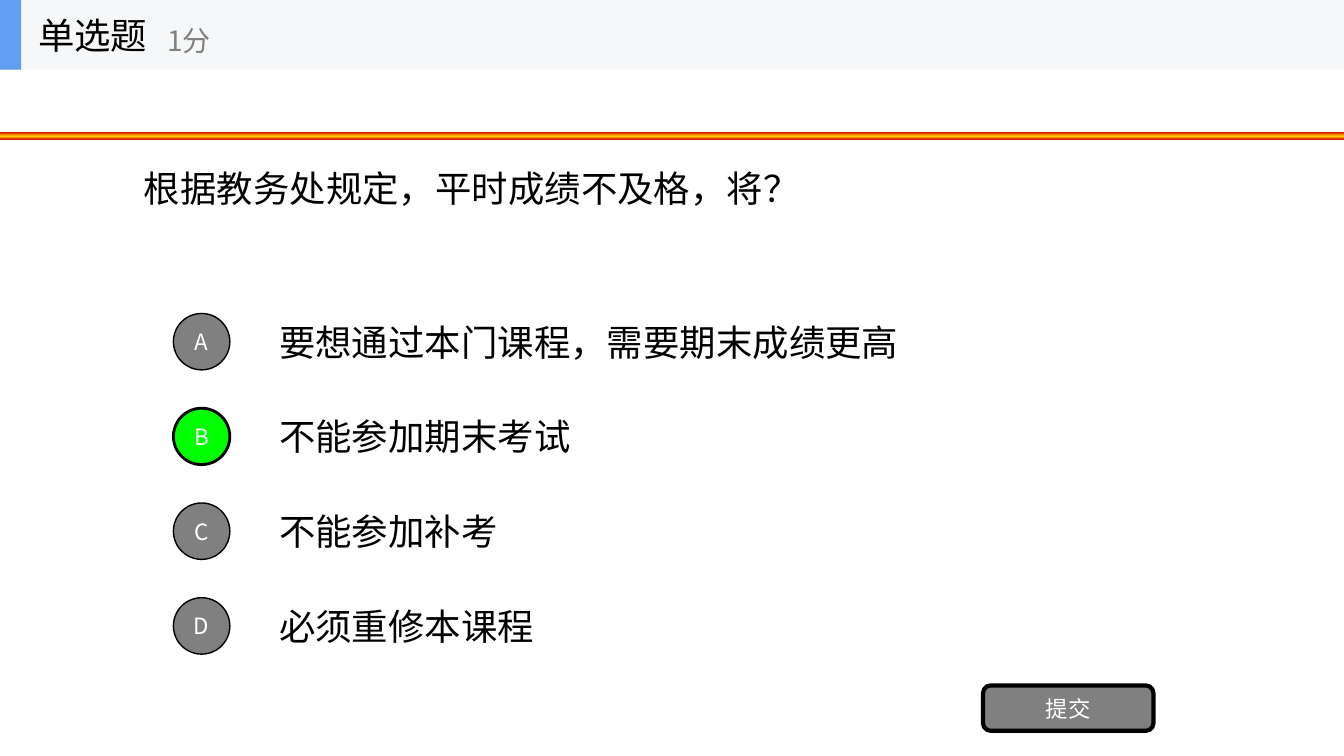
from copy import deepcopy
from dataclasses import dataclass

from pptx import Presentation
from pptx.dml.color import RGBColor
from pptx.enum.shapes import MSO_SHAPE as Preset
from pptx.enum.text import MSO_ANCHOR as Anchor, PP_ALIGN as Align
from pptx.oxml.ns import qn
from pptx.shapes.autoshape import Shape
from pptx.slide import Slide
from pptx.util import Inches, Pt

FONT = "Noto Sans CJK SC"
BLACK = RGBColor(0x00, 0x00, 0x00)
WHITE = RGBColor(0xFF, 0xFF, 0xFF)
GRAY = RGBColor(0x80, 0x80, 0x80)
GREEN = RGBColor(0x00, 0xFF, 0x00)
RED = RGBColor(0xCC, 0x00, 0x00)
GOLD = RGBColor(0xFF, 0xCC, 0x00)
HEADER = RGBColor(0xF6, 0xF7, 0xF8)
ACCENT = RGBColor(0x63, 0x9E, 0xF4)

PAGE_WIDTH, PAGE_HEIGHT = 13.33, 7.5
HEADER_HEIGHT = 0.69
OPTION_TOP, OPTION_PITCH, OPTION_HEIGHT = 3.04, 0.94, 0.7
BUBBLE_SIZE = 0.56


@dataclass(frozen=True)
class Area:
    left: float
    top: float
    width: float
    height: float

    def lengths(self) -> tuple[Inches, ...]:
        return tuple(Inches(n) for n in (self.left, self.top, self.width, self.height))


@dataclass(frozen=True)
class Option:
    letter: str
    answer: str
    fill: RGBColor = GRAY
    outline: float = 1


OPTIONS = (
    Option("A", "要想通过本门课程，需要期末成绩更高"),
    Option("B", "不能参加期末考试", GREEN, 2),
    Option("C", "不能参加补考"),
    Option("D", "必须重修本课程"),
)


def write(box: Shape, text: str, size: float, color: RGBColor) -> None:
    frame = box.text_frame
    frame.text = text
    frame.word_wrap = True
    frame.vertical_anchor = Anchor.MIDDLE
    font = frame.paragraphs[0].runs[0].font
    font.name, font.size, font.color.rgb = FONT, Pt(size), color
    # East Asian characters take their own typeface
    east_asian = font._element.makeelement(qn("a:ea"), {"typeface": FONT})
    font._element.find(qn("a:latin")).addnext(east_asian)


def add_label(page: Slide, area: Area, text: str, size: float = 26,
              color: RGBColor = BLACK) -> None:
    write(page.shapes.add_textbox(*area.lengths()), text, size, color)


def add_block(page: Slide, area: Area, fill: RGBColor,
              preset: Preset = Preset.RECTANGLE) -> Shape:
    block = page.shapes.add_shape(preset, *area.lengths())
    block.shadow.inherit = False
    block.fill.solid()
    block.fill.fore_color.rgb = fill
    block.line.fill.background()
    return block


def add_button(page: Slide, area: Area, preset: Preset, text: str,
               fill: RGBColor, outline: float) -> None:
    button = add_block(page, area, fill, preset)
    button.line.color.rgb = BLACK
    button.line.width = Pt(outline)
    write(button, text, 16, WHITE)
    frame = button.text_frame
    frame.margin_left = frame.margin_right = frame.margin_top = frame.margin_bottom = 0
    frame.paragraphs[0].alignment = Align.CENTER


def add_divider(page: Slide, area: Area) -> None:
    fill = add_block(page, area, RED).fill
    fill.gradient()
    fill.gradient_angle = 270
    stop_list = fill._xPr.find(".//" + qn("a:gsLst"))
    stop_list.append(deepcopy(stop_list[0]))
    for stop, position, color in zip(fill.gradient_stops, (0, 0.5, 1), (RED, GOLD, RED)):
        stop.position, stop.color.rgb = position, color


def main() -> None:
    deck = Presentation()
    deck.slide_width, deck.slide_height = Inches(PAGE_WIDTH), Inches(PAGE_HEIGHT)
    page = deck.slides.add_slide(deck.slide_layouts[6])

    # Divider and question
    add_divider(page, Area(0, 1.31, PAGE_WIDTH, 0.08))
    add_label(page, Area(1.33, 0.69, 10.67, 2.34), "根据教务处规定，平时成绩不及格，将？")

    # Answer options
    inset = (OPTION_HEIGHT - BUBBLE_SIZE) / 2
    for row, option in enumerate(OPTIONS):
        top = OPTION_TOP + row * OPTION_PITCH
        add_label(page, Area(2.67, top, 9.33, OPTION_HEIGHT), option.answer)
        add_button(page, Area(1.72, top + inset, BUBBLE_SIZE, BUBBLE_SIZE),
                   Preset.OVAL, option.letter, option.fill, option.outline)

    # Submit button
    add_button(page, Area(9.75, 6.8, 1.69, 0.45), Preset.ROUNDED_RECTANGLE, "提交", GRAY, 3)

    # Header band
    add_block(page, Area(0, 0, PAGE_WIDTH, HEADER_HEIGHT), HEADER)
    add_block(page, Area(0, 0, 0.21, HEADER_HEIGHT), ACCENT)
    add_label(page, Area(0.28, 0, 2.08, HEADER_HEIGHT), "单选题")
    add_label(page, Area(1.56, 0.12, 2.5, 0.56), "1分", 20, GRAY)

    deck.save("out.pptx")


if __name__ == "__main__":
    main()
